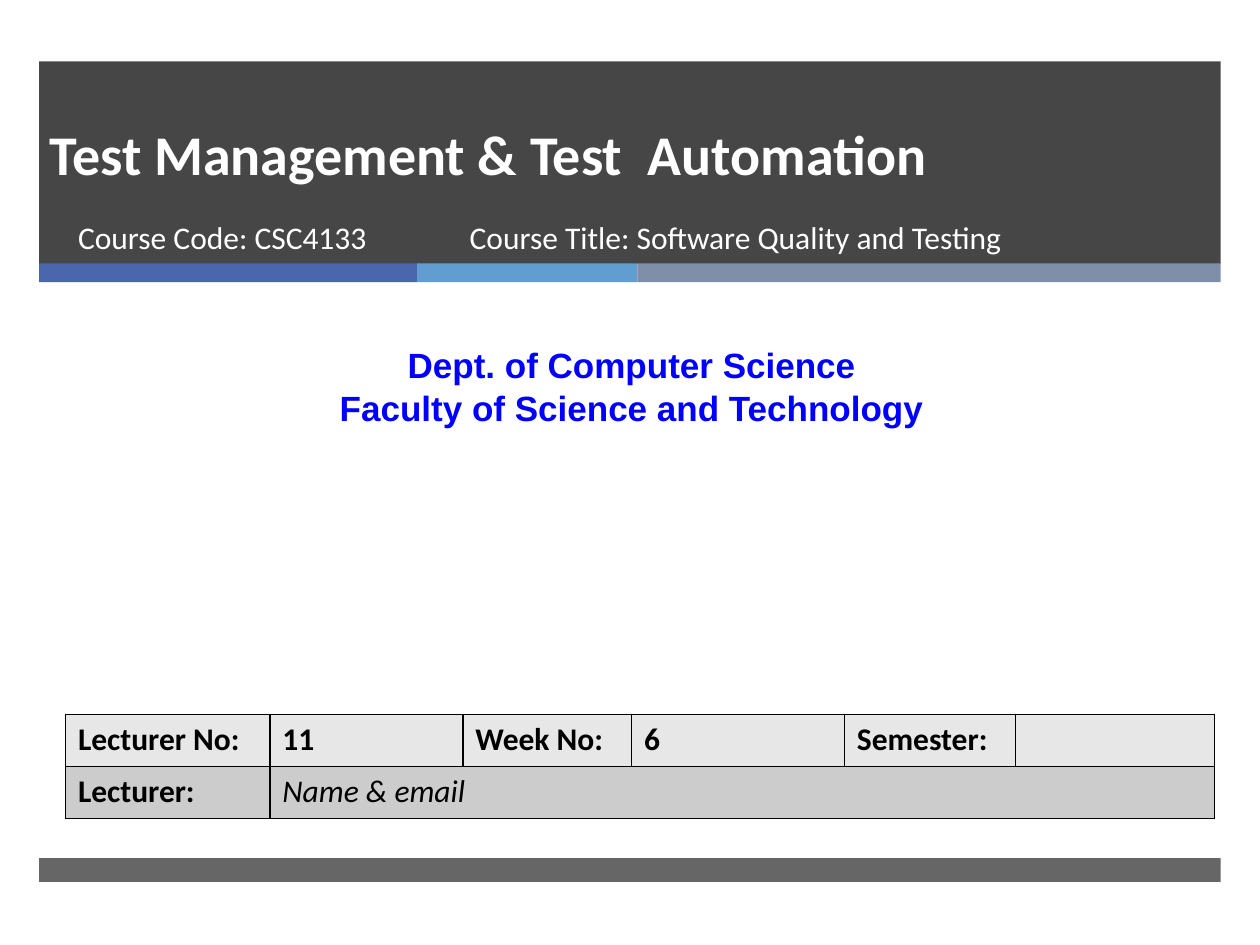
"""Build the title slide of a lecture on test management and automation."""
from lxml import etree
from pptx import Presentation
from pptx.dml.color import RGBColor
from pptx.enum.shapes import MSO_SHAPE
from pptx.enum.text import MSO_ANCHOR, MSO_AUTO_SIZE, PP_ALIGN
from pptx.oxml import parse_xml
from pptx.oxml.ns import nsdecls, qn
from pptx.util import Cm, Pt

RECTANGLE = MSO_SHAPE.RECTANGLE
LEFT, CENTER = PP_ALIGN.LEFT, PP_ALIGN.CENTER
TOP, BOTTOM = MSO_ANCHOR.TOP, MSO_ANCHOR.BOTTOM
NO_AUTOFIT = MSO_AUTO_SIZE.NONE
COLORS = {
    "dark": "262626", "blue": "4A66AC", "sky": "629DD1", "slate": "7F8FA9",
    "white": "FFFFFF", "black": "000000", "department": "0000FF",
    "light row": "E7E7E7", "dark row": "CCCCCC",
}


def place(shape, left, top, width, height):
    shape.left, shape.top = Cm(left), Cm(top)
    shape.width, shape.height = Cm(width), Cm(height)


def write(text_frame, text, size, color, font="Calibri", bold=False,
          italic=False, align=LEFT):
    text_frame.text = text
    text_frame.word_wrap = True
    for paragraph in text_frame.paragraphs:
        paragraph.alignment = align
        paragraph.space_before = Pt(0)
        for run in paragraph.runs:
            run.font.name, run.font.size = font, Pt(size)
            run.font.bold, run.font.italic = bold, italic
            run.font.color.rgb = RGBColor.from_string(COLORS[color])


presentation = Presentation()
presentation.slide_width, presentation.slide_height = Cm(25.4), Cm(19.05)
slide = presentation.slides.add_slide(presentation.slide_layouts[0])
title, subtitle = slide.placeholders

bars = [
    (0.79, 1.24, 23.82, 4.08, "dark", 85),
    (0.79, 5.31, 7.62, 0.38, "blue", 100),
    (8.41, 5.31, 4.44, 0.38, "sky", 100),
    (12.85, 5.31, 11.76, 0.38, "slate", 100),
    (0.79, 17.3, 23.82, 0.48, "dark", 70),
]
for left, top, width, height, color, opacity in bars:
    bar = slide.shapes.add_shape(RECTANGLE, Cm(left), Cm(top), Cm(width), Cm(height))
    bar.shadow.inherit = False
    bar.line.fill.background()
    bar.fill.solid()
    bar.fill.fore_color.rgb = RGBColor.from_string(COLORS[color])
    if opacity < 100:
        fill_color = bar.element.spPr.find(".//" + qn("a:srgbClr"))
        etree.SubElement(fill_color, qn("a:alpha"), val=str(opacity * 1000))

for placeholder in (title, subtitle):
    placeholder.element.getparent().append(placeholder.element)

place(title, 0.74, 1.7, 21.69, 2.06)
write(title.text_frame, "Test Management & Test  Automation", 32, "white", bold=True)
title.text_frame.vertical_anchor = BOTTOM
title.text_frame.margin_bottom = Cm(0)
title.text_frame.paragraphs[0].line_spacing = Pt(46)

place(subtitle, 1.32, 4.27, 7.75, 1.35)
write(subtitle.text_frame, "Course Code: CSC4133", 18, "white")
subtitle.text_frame.vertical_anchor = TOP
for placeholder in (title, subtitle):
    placeholder.text_frame.auto_size = NO_AUTOFIT

department = slide.shapes.add_textbox(Cm(0.2), Cm(6.81), Cm(25.07), Cm(1.96))
write(department.text_frame,
      "Dept. of Computer Science\nFaculty of Science and Technology",
      20, "department", font="Arial", bold=True, align=CENTER)

rows = [
    ["Lecturer No:", "11", "Week No:", "6", "Semester:", ""],
    ["Lecturer:", "Name & email", "", "", "", ""],
]
column_widths = [4.12, 3.89, 3.4, 4.29, 3.45, 4.01]
table = slide.shapes.add_table(
    2, 6, Cm(1.32), Cm(14.4), Cm(sum(column_widths)), Cm(2.1)).table
for column, width in zip(table.columns, column_widths):
    column.width = Cm(width)
table.cell(1, 1).merge(table.cell(1, 5))
for row_index, (texts, row_color) in enumerate(zip(rows, ("light row", "dark row"))):
    for column_index, text in enumerate(texts):
        cell = table.cell(row_index, column_index)
        italic = text == "Name & email"
        write(cell.text_frame, text, 18, "black", bold=not italic, italic=italic)
        if not text:
            cell.text_frame.paragraphs[0].font.size = Pt(18)
        properties = cell._tc.get_or_add_tcPr()
        for side in ("lnL", "lnR", "lnT", "lnB"):
            properties.append(parse_xml(
                f'<a:{side} {nsdecls("a")} w="12700"><a:solidFill>'
                f'<a:srgbClr val="{COLORS["black"]}"/></a:solidFill></a:{side}>'))
        cell.fill.solid()
        cell.fill.fore_color.rgb = RGBColor.from_string(COLORS[row_color])

course = slide.shapes.add_textbox(Cm(9.22), Cm(4.27), Cm(11.56), Cm(1.35))
write(course.text_frame, "Course Title: Software Quality and Testing", 18, "white")

presentation.save("out.pptx")
